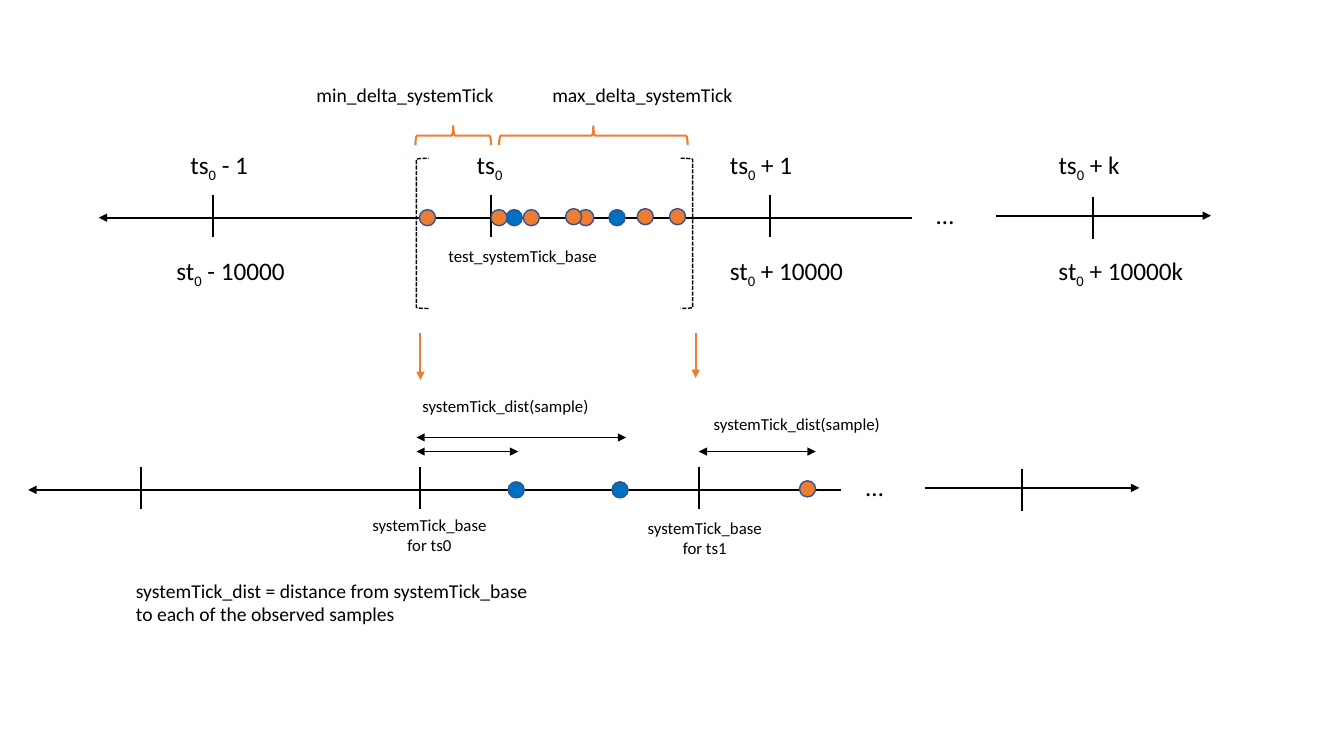
"""Build the system tick timeline slide."""
from typing import NamedTuple

from lxml.etree import SubElement
from pptx import Presentation
from pptx.dml.color import RGBColor
from pptx.enum.dml import MSO_LINE
from pptx.enum.shapes import MSO_CONNECTOR, MSO_SHAPE
from pptx.enum.text import MSO_AUTO_SIZE, PP_ALIGN
from pptx.oxml.ns import qn
from pptx.util import Inches, Pt

COLORS = {"ink": "000000", "orange": "ED7D31", "blue": "0070C0", "rim": "325491"}
FONT = "Calibri"
DOT_SIZE = 0.16
TICK_HEIGHT = 0.42


class Stroke(NamedTuple):
    x1: float
    y1: float
    x2: float
    y2: float
    color: str = "ink"
    width: float = 1.5
    ends: tuple[str, ...] = ()


class Label(NamedTuple):
    text: str
    left: float
    top: float
    width: float
    height: float = 0.4
    size: int = 18
    align: PP_ALIGN = PP_ALIGN.LEFT


class Outline(NamedTuple):
    kind: MSO_SHAPE
    left: float
    top: float
    width: float
    height: float
    color: str
    weight: float
    rotation: int = 0
    dash: MSO_LINE | None = None


class Sample(NamedTuple):
    left: float
    top: float
    color: str = "orange"


def rgb(name: str) -> RGBColor:
    return RGBColor.from_string(COLORS[name])


def draw_stroke(shapes, stroke: Stroke) -> None:
    points = (Inches(value) for value in stroke[:4])
    connector = shapes.add_connector(MSO_CONNECTOR.STRAIGHT, *points)
    connector.line.color.rgb = rgb(stroke.color)
    connector.line.width = Pt(stroke.width)
    properties = connector._element.spPr
    for end in stroke.ends:
        SubElement(properties.find(qn("a:ln")), qn(f"a:{end}"), type="triangle")
    SubElement(properties, qn("a:effectLst"))


def draw_outline(shapes, outline: Outline) -> None:
    box = (Inches(value) for value in outline[1:5])
    shape = shapes.add_shape(outline.kind, *box)
    shape.shadow.inherit = False
    shape.fill.background()
    shape.line.color.rgb = rgb(outline.color)
    shape.line.width = Pt(outline.weight)
    shape.rotation = outline.rotation
    if outline.dash:
        shape.line.dash_style = outline.dash


def draw_sample(shapes, sample: Sample) -> None:
    size = Inches(DOT_SIZE)
    dot = shapes.add_shape(MSO_SHAPE.OVAL, Inches(sample.left), Inches(sample.top), size, size)
    dot.shadow.inherit = False
    dot.fill.solid()
    dot.fill.fore_color.rgb = rgb(sample.color)
    dot.line.color.rgb = rgb("rim")
    dot.line.width = Pt(1)


def write_text(frame, text: str, *, size: int, align: PP_ALIGN, color: str = "ink") -> None:
    """Write paragraphs split by newlines, with subscripts between bars."""
    for index, row in enumerate(text.split("\n")):
        paragraph = frame.add_paragraph() if index else frame.paragraphs[0]
        paragraph.alignment = align
        for position, part in enumerate(row.split("|")):
            run = paragraph.add_run()
            run.text = part
            run.font.name = FONT
            run.font.size = Pt(size)
            run.font.color.rgb = rgb(color)
            if position % 2:
                run._r.get_or_add_rPr().set("baseline", "-25000")


def draw_label(shapes, label: Label) -> None:
    box = (Inches(value) for value in label[1:5])
    frame = shapes.add_textbox(*box).text_frame
    frame.word_wrap = True
    frame.auto_size = MSO_AUTO_SIZE.SHAPE_TO_FIT_TEXT
    write_text(frame, label.text, size=label.size, align=label.align)


TICKS = [
    Stroke(x, top, x, top + TICK_HEIGHT)
    for x, top in [
        (1.4, 4.63), (4.17, 4.63), (6.93, 4.63), (10.14, 4.65),
        (2.11, 1.93), (4.87, 1.93), (7.64, 1.93), (10.84, 1.95),
    ]
]
AXES = [
    Stroke(start, y, end, y, ends=("tailEnd",))
    for start, end, y in [(8.34, 0.28, 4.86), (9.17, 11.3, 4.84), (9.05, 0.98, 2.16), (9.88, 12.01, 2.14)]
]
DOWN_ARROWS = [
    Stroke(x, 3.3, x, bottom, "orange", ends=("tailEnd",))
    for x, bottom in [(4.17, 3.77), (6.9, 3.75)]
]
DISTANCES = [
    Stroke(start, y, end, y, width=1, ends=("headEnd", "tailEnd"))
    for start, end, y in [(4.13, 5.14, 4.48), (4.13, 6.21, 4.34), (6.93, 8.09, 4.48)]
]
OUTLINES = [
    Outline(MSO_SHAPE.LEFT_BRACKET, 4.13, 1.57, 0.12, 1.49, "ink", 1, dash=MSO_LINE.SQUARE_DOT),
    Outline(MSO_SHAPE.RIGHT_BRACKET, 6.75, 1.57, 0.12, 1.49, "ink", 1, dash=MSO_LINE.SQUARE_DOT),
    Outline(MSO_SHAPE.LEFT_BRACE, 4.4, 0.97, 0.19, 0.75, "orange", 1.5, rotation=90),
    Outline(MSO_SHAPE.LEFT_BRACE, 5.79, 0.41, 0.19, 1.87, "orange", 1.5, rotation=90),
]
SAMPLES = [
    Sample(5.02, 2.08, "blue"), Sample(6.04, 2.08, "blue"),
    *(Sample(left, 2.08) for left in (5.73, 4.16, 5.19, 4.87)),
    *(Sample(left, 2.07) for left in (5.61, 6.64, 6.32)),
    Sample(5.04, 4.78, "blue"), Sample(6.07, 4.78, "blue"), Sample(7.93, 4.77),
]
LABELS = [
    Label("ts|0| - 1", 1.79, 1.43, 0.89),
    Label("ts|0", 4.63, 1.43, 0.75),
    Label("ts|0| + 1", 7.14, 1.43, 1.08),
    Label("ts|0| + k", 10.4, 1.43, 1.08),
    Label("st|0| - 10000", 1.65, 2.48, 1.39),
    Label("st|0| + 10000", 7.14, 2.48, 1.39),
    Label("st|0| + 10000k", 10.4, 2.48, 1.6),
    Label("…", 9.19, 1.93, 0.57),
    Label("…", 8.49, 4.63, 0.57),
    Label("min_delta_systemTick", 3.04, 0.77, 2.09, 0.34, 14),
    Label("max_delta_systemTick", 5.38, 0.77, 2.64, 0.34, 14),
    Label("test_systemTick_base", 4.35, 2.39, 2.83, 0.3, 12),
    Label("systemTick_dist(sample)", 4.09, 3.88, 2.4, 0.3, 12),
    Label("systemTick_dist(sample)", 6.98, 4.06, 2.4, 0.3, 12),
    Label("systemTick_base\nfor ts0", 3.51, 5.06, 1.5, 0.5, 12, PP_ALIGN.CENTER),
    Label("systemTick_base\nfor ts1", 6.08, 5.09, 1.82, 0.5, 12, PP_ALIGN.CENTER),
    Label(
        "systemTick_dist = distance from systemTick_base to each of the observed samples",
        1.25, 5.69, 4.13, 0.57, 14,
    ),
]

presentation = Presentation()
presentation.slide_width = Inches(13.33)
presentation.slide_height = Inches(7.5)
timeline = presentation.slides.add_slide(presentation.slide_layouts[6]).shapes
for draw, items in [
    (draw_stroke, TICKS + AXES + DOWN_ARROWS + DISTANCES),
    (draw_outline, OUTLINES),
    (draw_sample, SAMPLES),
    (draw_label, LABELS),
]:
    for item in items:
        draw(timeline, item)
presentation.save("out.pptx")
